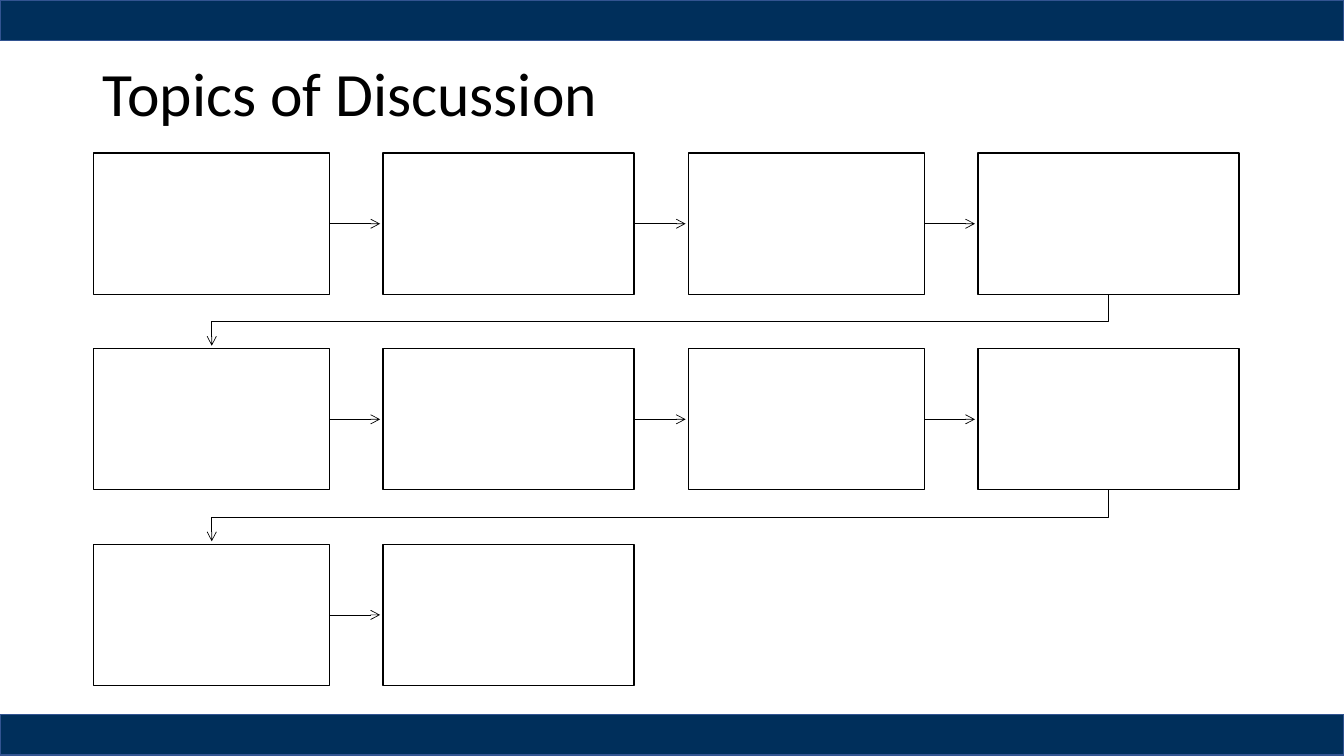
from lxml import etree
from pptx import Presentation, util as u
from pptx.dml.color import RGBColor
from pptx.enum import shapes, text
from pptx.oxml.ns import qn

Inches = u.Inches


def color(code):
    return RGBColor.from_string(code)


class Deck:
    navy, edge, ink, paper = "002F5B", "325491", "000000", "FFFFFF"
    font = "Calibri"

    def __init__(self):
        self.prs = Presentation()
        self.prs.slide_width = Inches(13.33)
        self.prs.slide_height = Inches(7.5)
        self.slide = self.prs.slides.add_slide(self.prs.slide_layouts[6])

    def title(self, words, x, y, w, h):
        box = self.slide.shapes.add_textbox(*map(Inches, (x, y, w, h)))
        frame = box.text_frame
        frame.word_wrap = True
        frame.vertical_anchor = text.MSO_ANCHOR.MIDDLE
        para = frame.paragraphs[0]
        para.text = words
        para.line_spacing = 0.9
        para.font.size = u.Pt(44)
        para.font.name = self.font
        para.font.color.rgb = color(self.ink)

    def rect(self, x, y, w, h, fill, line):
        box = self.slide.shapes.add_shape(
            shapes.MSO_SHAPE.RECTANGLE, *map(Inches, (x, y, w, h)))
        box.shadow.inherit = False
        box.fill.solid()
        box.fill.fore_color.rgb = color(fill)
        box.line.color.rgb = color(line)
        box.line.width = u.Pt(1)
        return box

    def arrow(self, box, x, y):
        link = self.slide.shapes.add_connector(
            shapes.MSO_CONNECTOR.STRAIGHT, 0, 0, Inches(x), Inches(y))
        link.begin_connect(box, 3)
        link.end_y = link.begin_y
        self.tip(link)

    def bend(self, points):
        first, *rest = [(Inches(x), Inches(y)) for x, y in points]
        form = self.slide.shapes.build_freeform(*first)
        form.add_line_segments(rest, close=False)
        path = form.convert_to_shape()
        path.fill.background()
        self.tip(path)

    def tip(self, item):
        item.line.color.rgb = color(self.ink)
        item.line.width = u.Pt(0.5)
        props = item._element.spPr
        etree.SubElement(props.find(qn("a:ln")), qn("a:tailEnd"), type="arrow")
        etree.SubElement(props, qn("a:effectLst"))


def main():
    deck = Deck()

    # Title and bands
    deck.title("Topics of Discussion", 0.92, 0.4, 11.5, 1.12)
    for y in (0, 7.09):
        deck.rect(0, y, 13.33, 0.4, deck.navy, deck.edge)

    # Topic boxes, row by row
    cols = [(0.93, 2.34), (3.8, 2.49), (6.83, 2.34), (9.7, 2.59)]
    top, step, high, gap = 1.52, 1.94, 1.4, 0.03
    counts = [4, 4, 2]
    mid_first, mid_last = (x + w / 2 for x, w in (cols[0], cols[-1]))
    for row, count in enumerate(counts):
        y = top + row * step
        for col, (x, w) in enumerate(cols[:count]):
            box = deck.rect(x, y, w, high, deck.paper, deck.ink)
            if col + 1 < count:
                deck.arrow(box, cols[col + 1][0] - gap, y + high / 2)

        # Bent arrow to the next row
        if row + 1 < len(counts):
            low, end = y + high, y + step
            turn = (low + end) / 2
            deck.bend([(mid_last, low), (mid_last, turn),
                       (mid_first, turn), (mid_first, end - gap)])

    deck.prs.save("out.pptx")


if __name__ == "__main__":
    main()
